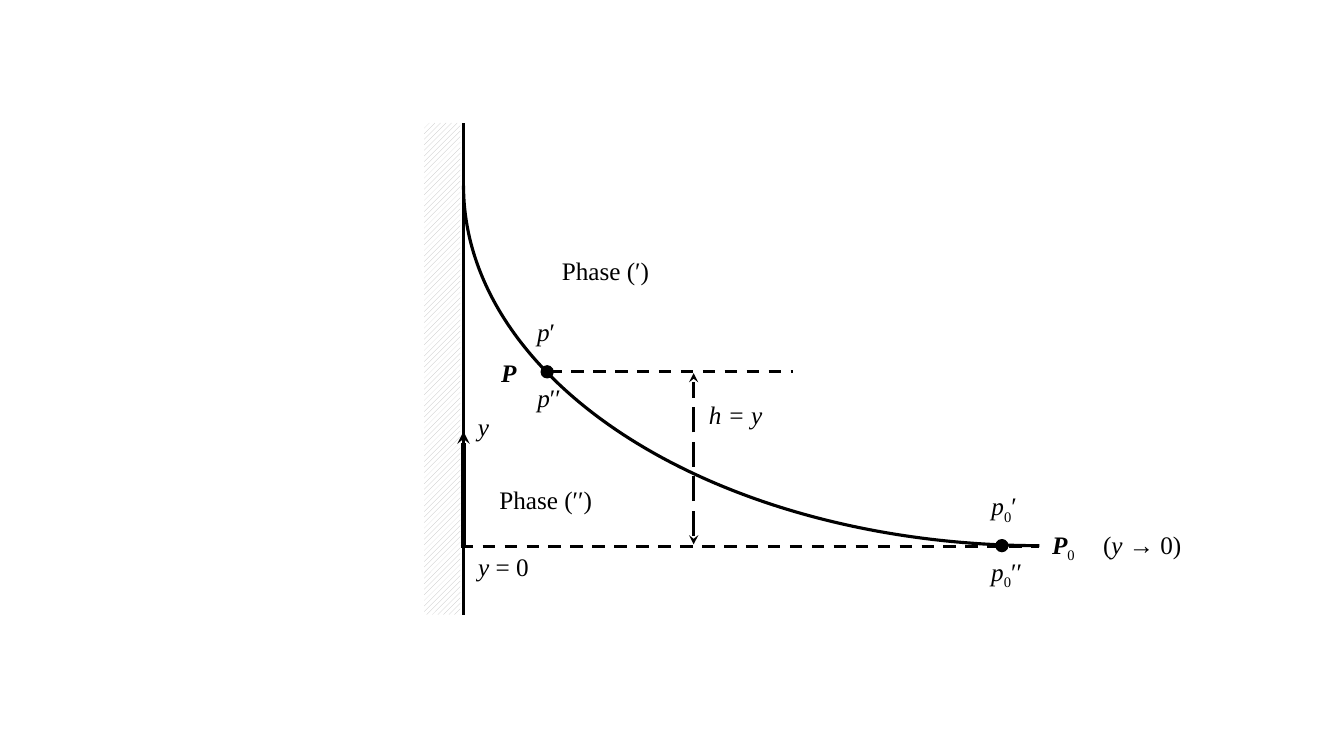
from lxml import etree
from pptx import Presentation
from pptx.dml.color import RGBColor
from pptx.enum.dml import MSO_LINE, MSO_PATTERN
from pptx.enum.shapes import MSO_CONNECTOR, MSO_SHAPE
from pptx.enum.text import MSO_AUTO_SIZE, PP_ALIGN
from pptx.oxml.ns import qn
from pptx.util import Cm, Pt

STRAIGHT = MSO_CONNECTOR.STRAIGHT
RECTANGLE, ARC, OVAL = MSO_SHAPE.RECTANGLE, MSO_SHAPE.ARC, MSO_SHAPE.OVAL
DASH, LONG_DASH = MSO_LINE.DASH, MSO_LINE.LONG_DASH
HATCH = MSO_PATTERN.WIDE_UPWARD_DIAGONAL
CENTER = PP_ALIGN.CENTER
FIT_SHAPE = MSO_AUTO_SIZE.SHAPE_TO_FIT_TEXT
COLORS = {name: RGBColor.from_string(value) for name, value in
          {"ink": "000000", "hatch": "BFBFBF", "paper": "FFFFFF"}.items()}

# Key positions in cm
WALL_X, WALL_TOP, WALL_BOTTOM = 11.68, 3.1, 15.49
ZERO_Y, CURVE_END_X = 13.77, 26.19
POINT_X, POINT_Y = 13.79, 9.37
FAR_POINT_X, FAR_POINT_Y = 25.25, 13.75
HEIGHT_X = 17.48
DOT_SIZE = 0.3

presentation = Presentation()
presentation.slide_width = Cm(33.87)
presentation.slide_height = Cm(19.05)
slide = presentation.slides.add_slide(presentation.slide_layouts[6])


def add_shape(kind, left, top, width, height):
    shape = slide.shapes.add_shape(kind, Cm(left), Cm(top), Cm(width), Cm(height))
    shape.shadow.inherit = False
    return shape


def add_line(start, end, width=2.25, dash=None, arrows=()):
    line = slide.shapes.add_connector(STRAIGHT, *map(Cm, start + end))
    line.line.color.rgb = COLORS["ink"]
    line.line.width = Pt(width)
    if dash:
        line.line.dash_style = dash
    for arrow in arrows:
        etree.SubElement(line.line._get_or_add_ln(), qn("a:" + arrow), type="stealth")
    etree.SubElement(line._element.spPr, qn("a:effectLst"))


# Hatched wall
wall = add_shape(RECTANGLE, 10.69, WALL_TOP, 0.91, WALL_BOTTOM - WALL_TOP)
wall.fill.patterned()
wall.fill.pattern = HATCH
wall.fill.fore_color.rgb = COLORS["hatch"]
wall.fill.back_color.rgb = COLORS["paper"]
wall.line.fill.background()

# Meniscus: lower left quarter of an ellipse
curve_width, curve_height = 2 * (CURVE_END_X - WALL_X), 18.14
meniscus = add_shape(ARC, WALL_X, FAR_POINT_Y - curve_height, curve_width, curve_height)
meniscus.rotation = 180
meniscus.fill.background()
meniscus.line.color.rgb = COLORS["ink"]
meniscus.line.width = Pt(2.25)

# Wall edge, levels and arrows
add_line((11.61, ZERO_Y), (CURVE_END_X, ZERO_Y), dash=DASH)
add_line((WALL_X, WALL_BOTTOM), (WALL_X, WALL_TOP))
add_line((WALL_X, ZERO_Y), (WALL_X, 10.87), width=3, arrows=["tailEnd"])
add_line((13.84, POINT_Y), (19.99, POINT_Y), dash=DASH)
add_line((HEIGHT_X, 13.72), (HEIGHT_X, 9.4), dash=LONG_DASH,
         arrows=["headEnd", "tailEnd"])

# Points on the curve
for x, y in [(POINT_X, POINT_Y), (FAR_POINT_X, FAR_POINT_Y)]:
    dot = add_shape(OVAL, x - DOT_SIZE / 2, y - DOT_SIZE / 2, DOT_SIZE, DOT_SIZE)
    dot.fill.solid()
    dot.fill.fore_color.rgb = COLORS["ink"]
    dot.line.color.rgb = COLORS["ink"]
    dot.line.width = Pt(1)

# Labels: left, top, width, runs of text and style (i italic, b bold, s subscript)
LABELS = [
    (11.79, 10.24, 0.79, [("y", "i")]),
    (11.79, 13.77, 1.8, [("y ", "i"), ("= 0", "")]),
    (13.89, 6.32, 2.74, [("Phase (′)", "")]),
    (12.32, 12.09, 2.87, [("Phase (′′)", "")]),
    (13.28, 9.5, 1.12, [("p", "i"), ("′′", "")]),
    (13.28, 7.85, 0.97, [("p", "i"), ("′", "")]),
    (24.71, 13.89, 1.32, [("p", "i"), ("0", "s"), ("′′", "")]),
    (24.71, 12.24, 1.19, [("p", "i"), ("0", "s"), ("′", "")]),
    (17.6, 9.93, 1.88, [("h = y", "i")]),
    (12.37, 8.89, 0.91, [("P", "bi")]),
    (27.53, 13.21, 2.51, [("(", ""), ("y →", "i"), (" 0)", "")]),
    (26.24, 13.21, 1.12, [("P", "bi"), ("0", "s")]),
]
for left, top, width, runs in LABELS:
    label = slide.shapes.add_textbox(Cm(left), Cm(top), Cm(width), Cm(1.02))
    label.text_frame.word_wrap = False
    label.text_frame.auto_size = FIT_SHAPE
    paragraph = label.text_frame.paragraphs[0]
    paragraph.alignment = CENTER
    paragraph.font.name = "Times New Roman"
    paragraph.font.size = Pt(18)
    paragraph.font.color.rgb = COLORS["ink"]
    for text, style in runs:
        run = paragraph.add_run()
        run.text = text
        run.font.italic = "i" in style
        run.font.bold = "b" in style
        if "s" in style:
            run._r.get_or_add_rPr().set("baseline", "-25000")

presentation.save("out.pptx")
